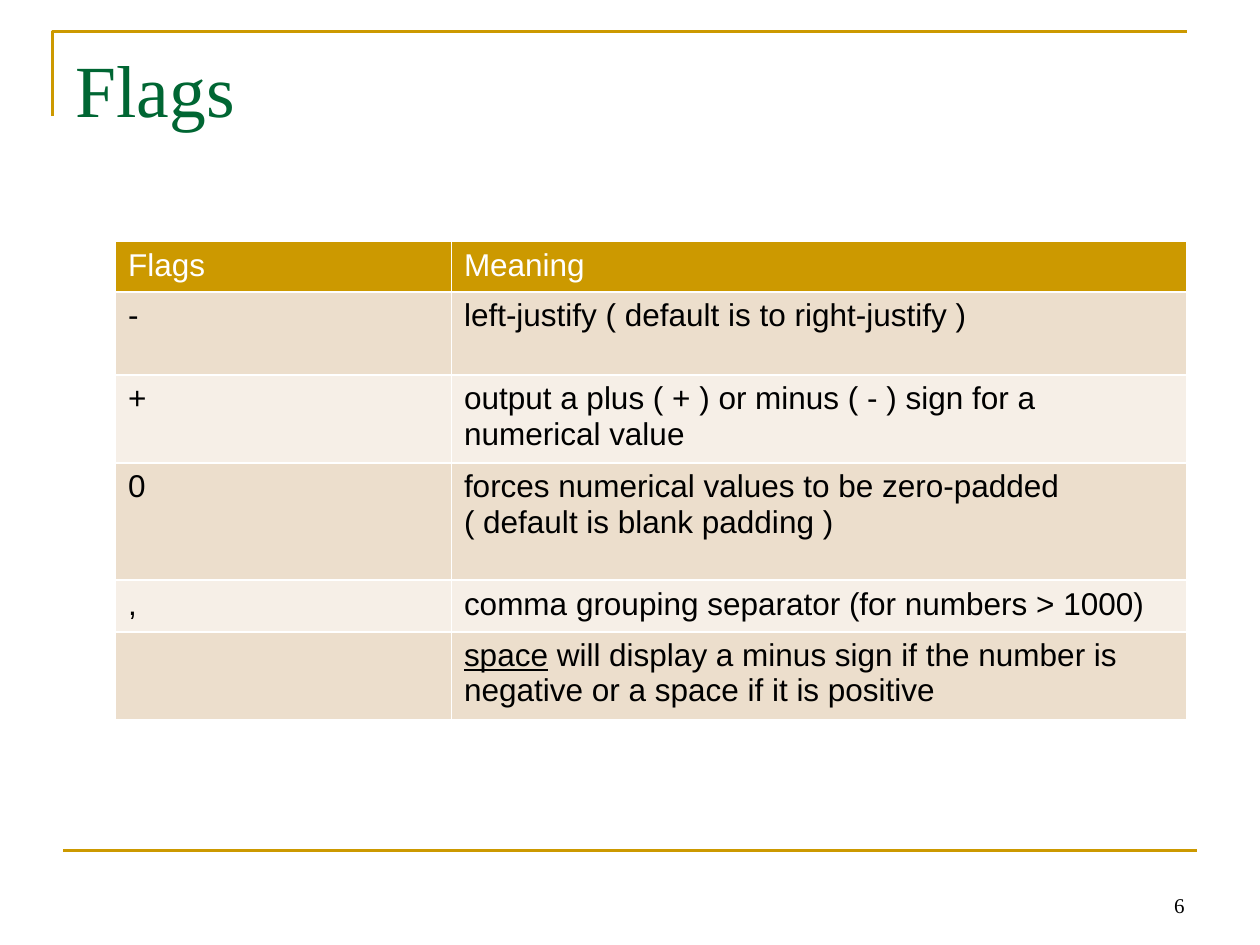
from lxml import etree
from pptx import Presentation
from pptx.dml.color import RGBColor
from pptx.enum.shapes import MSO_CONNECTOR
from pptx.enum.text import MSO_ANCHOR, PP_ALIGN
from pptx.oxml.ns import qn
from pptx.util import Cm, Pt

STRAIGHT = MSO_CONNECTOR.STRAIGHT
TOP, BOTTOM = MSO_ANCHOR.TOP, MSO_ANCHOR.BOTTOM
LEFT, RIGHT = PP_ALIGN.LEFT, PP_ALIGN.RIGHT

SERIF, SANS = "Times New Roman", "Arial"
COLORS = {
    "gold": "CC9900",
    "green": "006633",
    "black": "000000",
    "white": "FFFFFF",
    "dark_band": "ECDECC",
    "light_band": "F6EFE7",
}

COLUMN_WIDTHS = (6.77, 14.82)
# Height in cm, flag, meaning
FLAG_ROWS = (
    (0.97, "Flags", "Meaning"),
    (1.67, "-", "left-justify ( default is to right-justify )"),
    (1.67, "+", "output a plus ( + ) or minus ( - ) sign for a numerical value"),
    (2.36, "0", "forces numerical values to be zero-padded ( default is blank padding )"),
    (1.04, ",", "comma grouping separator (for numbers > 1000)"),
    (1.67, "", "space"),
)
SPACE_MEANING = " will display a minus sign if the number is negative or a space if it is positive"


def rgb(name):
    return RGBColor.from_string(COLORS[name])


def format_runs(paragraph, font_name, size, color, align=LEFT):
    paragraph.alignment = align
    for run in paragraph.runs:
        run.font.name = font_name
        run.font.size = Pt(size)
        run.font.color.rgb = rgb(color)


def style_rule(rule):
    rule.line.color.rgb = rgb("gold")
    rule.line.width = Pt(1.5)


def add_title(slide, text):
    title = slide.shapes.title
    title.left, title.top, title.width, title.height = Cm(1.27), Cm(0.76), Cm(22.86), Cm(3.18)
    frame = title.text_frame
    frame.text = text
    frame.vertical_anchor = TOP
    format_runs(frame.paragraphs[0], SERIF, 42, "green")


def add_corner_rule(slide):
    left, top = Cm(1.06), Cm(0.64)
    builder = slide.shapes.build_freeform(left, Cm(2.34))
    builder.add_line_segments([(left, top), (Cm(23.92), top)], close=False)
    corner = builder.convert_to_shape()
    corner.shadow.inherit = False
    corner.fill.background()
    style_rule(corner)


def add_footer_rule(slide):
    height = Cm(17.15)
    rule = slide.shapes.add_connector(STRAIGHT, Cm(1.27), height, Cm(24.13), height)
    etree.SubElement(rule._element.spPr, qn("a:effectLst"))
    style_rule(rule)


def add_page_number(slide, number):
    box = slide.shapes.add_textbox(Cm(18.21), Cm(17.35), Cm(5.92), Cm(1.27))
    frame = box.text_frame
    frame.word_wrap = True
    frame.vertical_anchor = BOTTOM
    frame.text = number
    format_runs(frame.paragraphs[0], SERIF, 12, "black", RIGHT)


def add_cell_borders(cell):
    properties = cell._tc.get_or_add_tcPr()
    for side in ("lnL", "lnR", "lnT", "lnB"):
        border = etree.SubElement(properties, qn(f"a:{side}"), w=str(Pt(1)))
        fill = etree.SubElement(border, qn("a:solidFill"))
        etree.SubElement(fill, qn("a:srgbClr"), val=COLORS["white"])


def add_flag_table(slide):
    width = sum(COLUMN_WIDTHS)
    height = sum(row[0] for row in FLAG_ROWS)
    table = slide.shapes.add_table(
        len(FLAG_ROWS), len(COLUMN_WIDTHS), Cm(2.33), Cm(4.87), Cm(width), Cm(height)
    ).table
    for column, column_width in zip(table.columns, COLUMN_WIDTHS):
        column.width = Cm(column_width)

    for index, (row_height, *texts) in enumerate(FLAG_ROWS):
        table.rows[index].height = Cm(row_height)
        for cell, text in zip(table.rows[index].cells, texts):
            cell.text = text

    space_paragraph = table.cell(len(FLAG_ROWS) - 1, 1).text_frame.paragraphs[0]
    space_paragraph.runs[0].font.underline = True
    space_paragraph.add_run().text = SPACE_MEANING

    for index, row in enumerate(table.rows):
        band = "gold" if index == 0 else "dark_band" if index % 2 else "light_band"
        for cell in row.cells:
            add_cell_borders(cell)
            cell.fill.solid()
            cell.fill.fore_color.rgb = rgb(band)
            paragraph = cell.text_frame.paragraphs[0]
            format_runs(paragraph, SANS, 18, "black" if index else "white")
            for run in paragraph.runs:
                run.font.bold = False


def main():
    deck = Presentation()
    deck.slide_width, deck.slide_height = Cm(25.4), Cm(19.05)
    slide = deck.slides.add_slide(deck.slide_layouts[5])
    add_corner_rule(slide)
    add_footer_rule(slide)
    add_title(slide, "Flags")
    add_page_number(slide, "6")
    add_flag_table(slide)
    deck.save("out.pptx")


if __name__ == "__main__":
    main()
